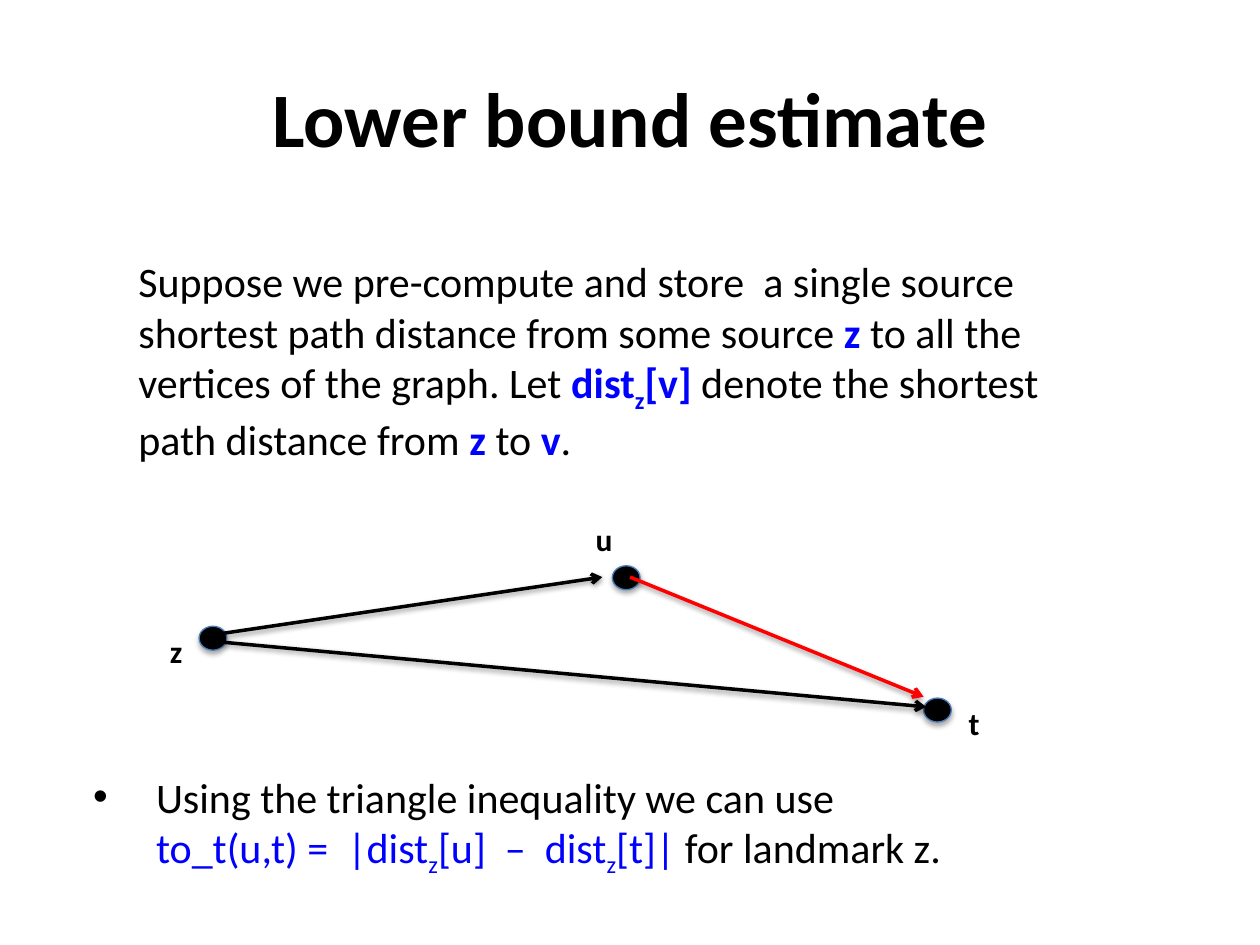
from dataclasses import dataclass

from lxml import etree
from pptx import Presentation
from pptx import util as u
from pptx.dml.color import RGBColor
from pptx.enum import shapes, text
from pptx.oxml import ns

BLACK = RGBColor(0, 0, 0)
BLUE = RGBColor(0, 0, 255)
RED = RGBColor(255, 0, 0)
OUTLINE = RGBColor(0x4B, 0x7E, 0xBC)
FONT = "Calibri"
COLUMNS, ROWS = 100, 75
NODE_WIDTH, NODE_HEIGHT = 2.2, 1.9
LABEL_WIDTH, LABEL_HEIGHT = 4.6, 4

presentation = Presentation()
presentation.slide_width = u.Inches(10)
presentation.slide_height = u.Inches(7.5)
slide = presentation.slides.add_slide(presentation.slide_layouts[6])


@dataclass(frozen=True)
class Run:
    text: str
    color: RGBColor = BLACK
    bold: bool = False
    subscript: bool = False


@dataclass(frozen=True)
class Vertex:
    name: str
    column: float
    row: float
    label_column: float
    label_row: float


@dataclass(frozen=True)
class Edge:
    start: tuple[float, float]
    end: tuple[float, float]
    color: RGBColor = BLACK


def across(columns: float) -> int:
    return round(presentation.slide_width * columns / COLUMNS)


def down(rows: float) -> int:
    return round(presentation.slide_height * rows / ROWS)


def add_element(parent, tag: str, **attributes: str):
    return etree.SubElement(parent, ns.qn(tag), attributes)


def add_shadow(shape, distance: float, opacity: int) -> None:
    effects = add_element(shape._element.spPr, "a:effectLst")
    shadow = add_element(effects, "a:outerShdw", blurRad=str(u.Pt(3.1)),
                         dist=str(u.Pt(distance)), dir="5400000", rotWithShape="0")
    color = add_element(shadow, "a:srgbClr", val=str(BLACK))
    add_element(color, "a:alpha", val=str(opacity * 1000))


def add_text(column: float, row: float, width: float, height: float,
             lines: list[list[Run]], size: int):
    shape = slide.shapes.add_textbox(across(column), down(row), across(width), down(height))
    shape.text_frame.word_wrap = True
    paragraph = shape.text_frame.paragraphs[0]
    for index, line in enumerate(lines):
        if index:
            paragraph.add_line_break()
        for part in line:
            run = paragraph.add_run()
            run.text = part.text
            run.font.name = FONT
            run.font.size = u.Pt(size)
            run.font.bold = part.bold
            run.font.color.rgb = part.color
            if part.subscript:
                run.font._element.set("baseline", "-25000")
    return shape


def add_bullet(paragraph) -> None:
    properties = paragraph._p.get_or_add_pPr()
    properties.set("marL", str(u.Inches(0.5)))
    properties.set("indent", str(-u.Inches(0.5)))
    add_element(properties, "a:buFont", typeface="Arial")
    add_element(properties, "a:buChar", char="•")


def draw_vertex(vertex: Vertex) -> None:
    shape = slide.shapes.add_shape(shapes.MSO_SHAPE.OVAL, across(vertex.column),
                                   down(vertex.row), across(NODE_WIDTH), down(NODE_HEIGHT))
    shape.fill.solid()
    shape.fill.fore_color.rgb = BLACK
    shape.line.color.rgb = OUTLINE
    shape.line.width = u.Pt(0.75)
    add_shadow(shape, 1.8, 35)
    add_text(vertex.label_column, vertex.label_row, LABEL_WIDTH, LABEL_HEIGHT,
             [[Run(vertex.name, bold=True)]], 18)


def draw_edge(edge: Edge) -> None:
    (start_column, start_row), (end_column, end_row) = edge.start, edge.end
    connector = slide.shapes.add_connector(
        shapes.MSO_CONNECTOR.STRAIGHT, across(start_column), down(start_row),
        across(end_column), down(end_row))
    connector.line.color.rgb = edge.color
    connector.line.width = u.Pt(2)
    add_element(connector.line._get_or_add_ln(), "a:tailEnd", type="arrow")
    add_shadow(connector, 1.6, 38)


VERTICES = [
    Vertex("z", 15.8, 49.7, 12.5, 49.7),
    Vertex("t", 73.3, 55.4, 75.9, 55.4),
    Vertex("u", 48.6, 44.9, 46.3, 40.8),
]
EDGES = [
    Edge((16.8, 50.4), (47.8, 45.8)),
    Edge((16.9, 50.9), (73.5, 56.1)),
    Edge((50, 45.8), (73.3, 55.3), RED),
]
TRIANGLE = [
    [Run("Using the triangle inequality we can use")],
    [Run("to_t(u,t) =  |dist", BLUE), Run("z", BLUE, subscript=True),
     Run("[u]  –  dist", BLUE), Run("z", BLUE, subscript=True),
     Run("[t]| ", BLUE), Run("for landmark z.")],
]
DEFINITION = [[
    Run("Suppose we pre-compute and store  a single source shortest path "
        "distance from some source "),
    Run("z ", BLUE, True), Run("to all the vertices of the graph. Let "),
    Run("dist", BLUE, True), Run("z", BLUE, True, True), Run("[v] ", BLUE, True),
    Run("denote the shortest path distance from "), Run("z ", BLUE, True),
    Run("to "), Run("v", BLUE, True), Run("."),
]]

title = add_text(5, 3, 90, 12.5, [[Run("Lower bound estimate", bold=True)]], 44)
title.text_frame.vertical_anchor = text.MSO_ANCHOR.MIDDLE
title.text_frame.paragraphs[0].alignment = text.PP_ALIGN.CENTER
for vertex in VERTICES:
    draw_vertex(vertex)
for edge in EDGES:
    draw_edge(edge)
triangle = add_text(6.4, 60.7, 92, 9.1, TRIANGLE, 24)
add_bullet(triangle.text_frame.paragraphs[0])
add_text(10, 19.8, 77.6, 17.2, DEFINITION, 24)

presentation.save("out.pptx")
